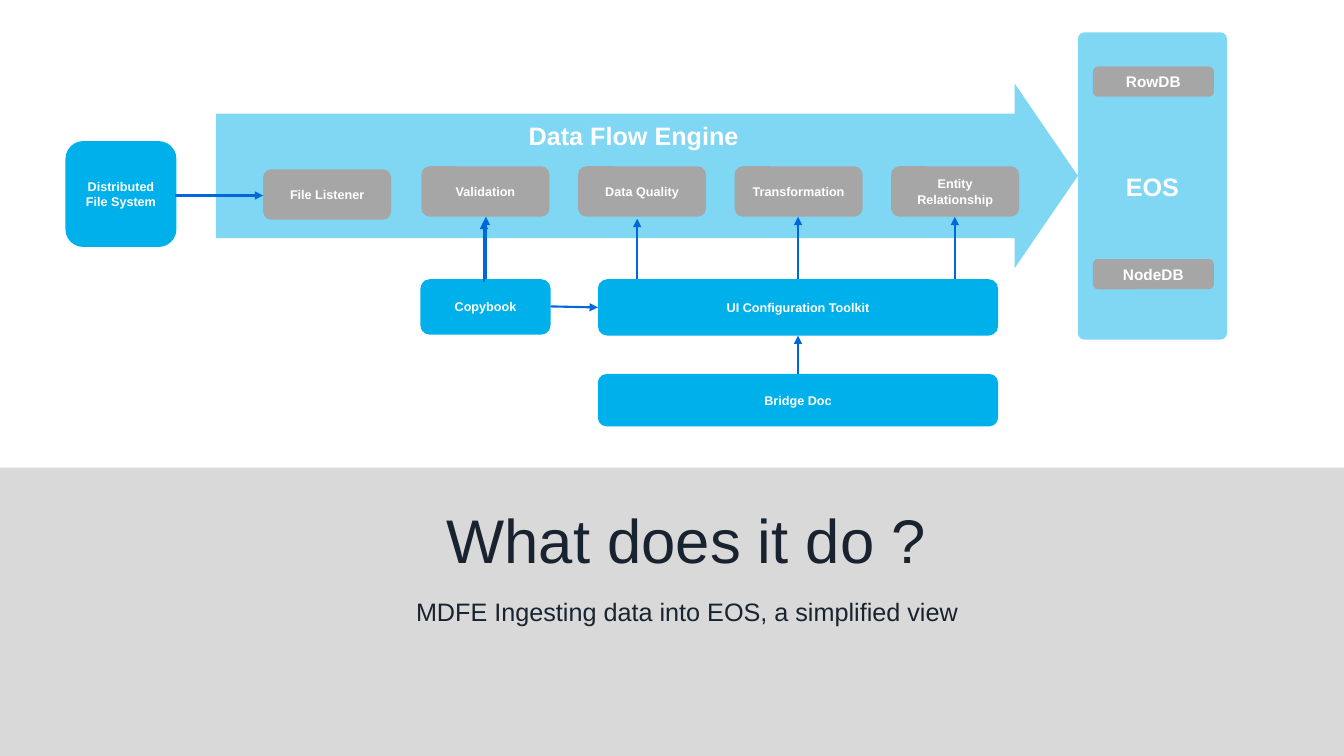
"""Build the data flow engine overview slide."""
from dataclasses import dataclass

from lxml.etree import SubElement
from pptx import Presentation
from pptx.dml.color import RGBColor
from pptx.enum.shapes import MSO_CONNECTOR, MSO_SHAPE
from pptx.enum.text import MSO_ANCHOR, PP_ALIGN
from pptx.oxml.ns import qn
from pptx.shapes.autoshape import Shape
from pptx.slide import Slide
from pptx.text.text import TextFrame
from pptx.util import Inches, Pt

WHITE = RGBColor(0xFF, 0xFF, 0xFF)
LIGHT_GRAY = RGBColor(0xD9, 0xD9, 0xD9)
GRAY = RGBColor(0xA6, 0xA6, 0xA6)
CYAN = RGBColor(0x00, 0xB0, 0xEB)
BLUE = RGBColor(0x00, 0x68, 0xDA)
INK = RGBColor(0x19, 0x23, 0x2F)
FONT = "Arial"

STAGE_LEFT, STAGE_STEP = 4.18, 1.553
STAGE_TOP, STAGE_WIDTH, STAGE_HEIGHT = 1.65, 1.27, 0.5
STAGE_BOTTOM = STAGE_TOP + STAGE_HEIGHT
TOOLKIT_LEFT, TOOLKIT_WIDTH, TOOLKIT_TOP = 5.93, 3.97, 2.77
TOOLKIT_CENTER = TOOLKIT_LEFT + TOOLKIT_WIDTH / 2


@dataclass(frozen=True)
class Box:
    """A filled shape with an optional centred label."""

    left: float
    top: float
    width: float
    height: float
    fill: RGBColor
    label: str = ""
    size: float = 9
    kind: MSO_SHAPE = MSO_SHAPE.ROUNDED_RECTANGLE
    adjustments: tuple[float, ...] = ()
    opacity: int = 100


@dataclass(frozen=True)
class Arrow:
    """A straight arrow between two points."""

    start_x: float
    start_y: float
    end_x: float
    end_y: float


def write_text(text_frame: TextFrame, text: str, size: float, color: RGBColor,
               bold: bool = False) -> None:
    """Write one centred, formatted paragraph."""
    text_frame.text = text
    paragraph = text_frame.paragraphs[0]
    paragraph.alignment = PP_ALIGN.CENTER
    font = paragraph.runs[0].font
    font.name, font.size, font.bold = FONT, Pt(size), bold
    font.color.rgb = color


def draw_box(slide: Slide, box: Box) -> Shape:
    """Draw a box on the slide."""
    shape = slide.shapes.add_shape(box.kind, Inches(box.left), Inches(box.top),
                                   Inches(box.width), Inches(box.height))
    shape.shadow.inherit = False
    shape.line.fill.background()
    shape.fill.solid()
    shape.fill.fore_color.rgb = box.fill
    for index, value in enumerate(box.adjustments):
        shape.adjustments[index] = value
    if box.opacity < 100:
        color = shape.element.spPr.find(qn("a:solidFill")).find(qn("a:srgbClr"))
        SubElement(color, qn("a:alpha"), val=str(box.opacity * 1000))
    if box.label:
        shape.text_frame.word_wrap = True
        shape.text_frame.vertical_anchor = MSO_ANCHOR.MIDDLE
        write_text(shape.text_frame, box.label, box.size, WHITE, bold=True)
    return shape


def draw_arrow(slide: Slide, arrow: Arrow) -> None:
    """Draw a connector with a triangular head at its end."""
    connector = slide.shapes.add_connector(
        MSO_CONNECTOR.STRAIGHT, Inches(arrow.start_x), Inches(arrow.start_y),
        Inches(arrow.end_x), Inches(arrow.end_y))
    connector.line.color.rgb = BLUE
    connector.line.width = Pt(1.5)
    SubElement(connector.line._get_or_add_ln(), qn("a:tailEnd"), type="triangle")
    SubElement(connector.element.spPr, qn("a:effectLst"))


def draw_caption(slide: Slide, text: str, left: float, top: float, width: float,
                 color: RGBColor, bold: bool = False, wrap: bool = True) -> None:
    """Draw a one-line text box."""
    caption = slide.shapes.add_textbox(Inches(left), Inches(top), Inches(width), Inches(0.4))
    caption.text_frame.word_wrap = wrap
    write_text(caption.text_frame, text, 18, color, bold)


def place_title(slide: Slide, text: str) -> None:
    """Move and format the title placeholder above the backdrop."""
    title = slide.shapes.title
    title.left, title.top = Inches(1.06), Inches(4.67)
    title.width, title.height = Inches(11.5), Inches(1.45)
    title.text_frame.vertical_anchor = MSO_ANCHOR.MIDDLE
    write_text(title.text_frame, text, 44, INK)
    title.text_frame.paragraphs[0].line_spacing = 0.9
    slide.shapes._spTree.append(title.element)


BACKDROP = (
    Box(0, 0, 13.33, 4.64, WHITE, kind=MSO_SHAPE.RECTANGLE),
    Box(0, 4.64, 13.33, 2.86, LIGHT_GRAY, kind=MSO_SHAPE.RECTANGLE),
)
STAGES = tuple(
    Box(STAGE_LEFT + index * STAGE_STEP, STAGE_TOP, STAGE_WIDTH, STAGE_HEIGHT, GRAY, label)
    for index, label in enumerate(
        ("Validation", "Data Quality", "Transformation", "Entity Relationship"))
)
STORES = tuple(
    Box(10.84, top, 1.2, 0.3, GRAY, label, 11)
    for label, top in (("RowDB", 0.66), ("NodeDB", 2.57))
)
DIAGRAM = (
    Box(2.14, 0.83, 8.55, 1.83, CYAN, kind=MSO_SHAPE.RIGHT_ARROW,
        adjustments=(0.675, 0.342), opacity=50),
    Box(10.69, 0.32, 1.48, 3.05, CYAN, "EOS", 18, adjustments=(0.045,), opacity=50),
    Box(0.65, 1.4, 1.1, 1.05, CYAN, "Distributed File System"),
    Box(2.61, 1.68, STAGE_WIDTH, STAGE_HEIGHT, GRAY, "File Listener"),
    *STAGES,
    Box(4.17, TOOLKIT_TOP, 1.29, 0.55, CYAN, "Copybook"),
    Box(TOOLKIT_LEFT, TOOLKIT_TOP, TOOLKIT_WIDTH, 0.56, CYAN, "UI Configuration Toolkit"),
    Box(TOOLKIT_LEFT, 3.71, TOOLKIT_WIDTH, 0.52, CYAN, "Bridge Doc"),
    *STORES,
)
ARROWS = (
    *(Arrow(x, TOOLKIT_TOP, x, STAGE_BOTTOM) for x in (4.82, TOOLKIT_CENTER, 9.47)),
    Arrow(6.32, TOOLKIT_TOP, 6.32, 2.17),
    Arrow(4.8, 2.8, 4.8, 2.19),
    Arrow(5.46, 3.04, TOOLKIT_LEFT, 3.05),
    Arrow(TOOLKIT_CENTER, 3.71, TOOLKIT_CENTER, 3.33),
    Arrow(1.74, 1.94, 2.61, 1.94),
)


def main() -> None:
    """Build and save the presentation."""
    presentation = Presentation()
    presentation.slide_width, presentation.slide_height = Inches(13.33), Inches(7.5)
    slide = presentation.slides.add_slide(presentation.slide_layouts[5])
    for box in BACKDROP:
        draw_box(slide, box)
    place_title(slide, "What does it do ?")
    draw_caption(slide, "MDFE Ingesting data into EOS, a simplified view",
                 4, 5.87, 5.63, INK, wrap=False)
    for box in DIAGRAM:
        draw_box(slide, box)
    for arrow in ARROWS:
        draw_arrow(slide, arrow)
    draw_caption(slide, "Data Flow Engine", 4.82, 1.14, 2.93, WHITE, bold=True)
    presentation.save("out.pptx")


main()
